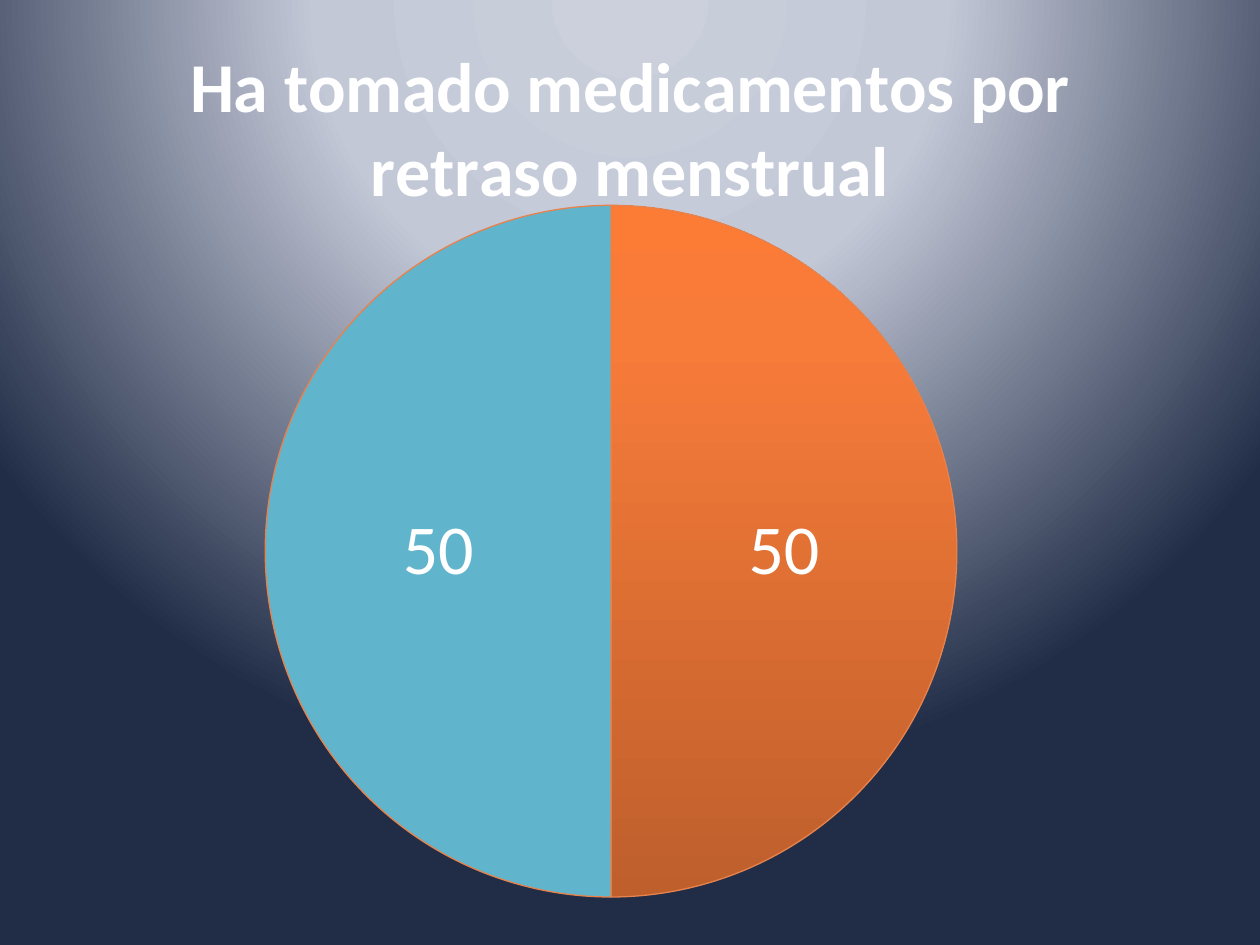
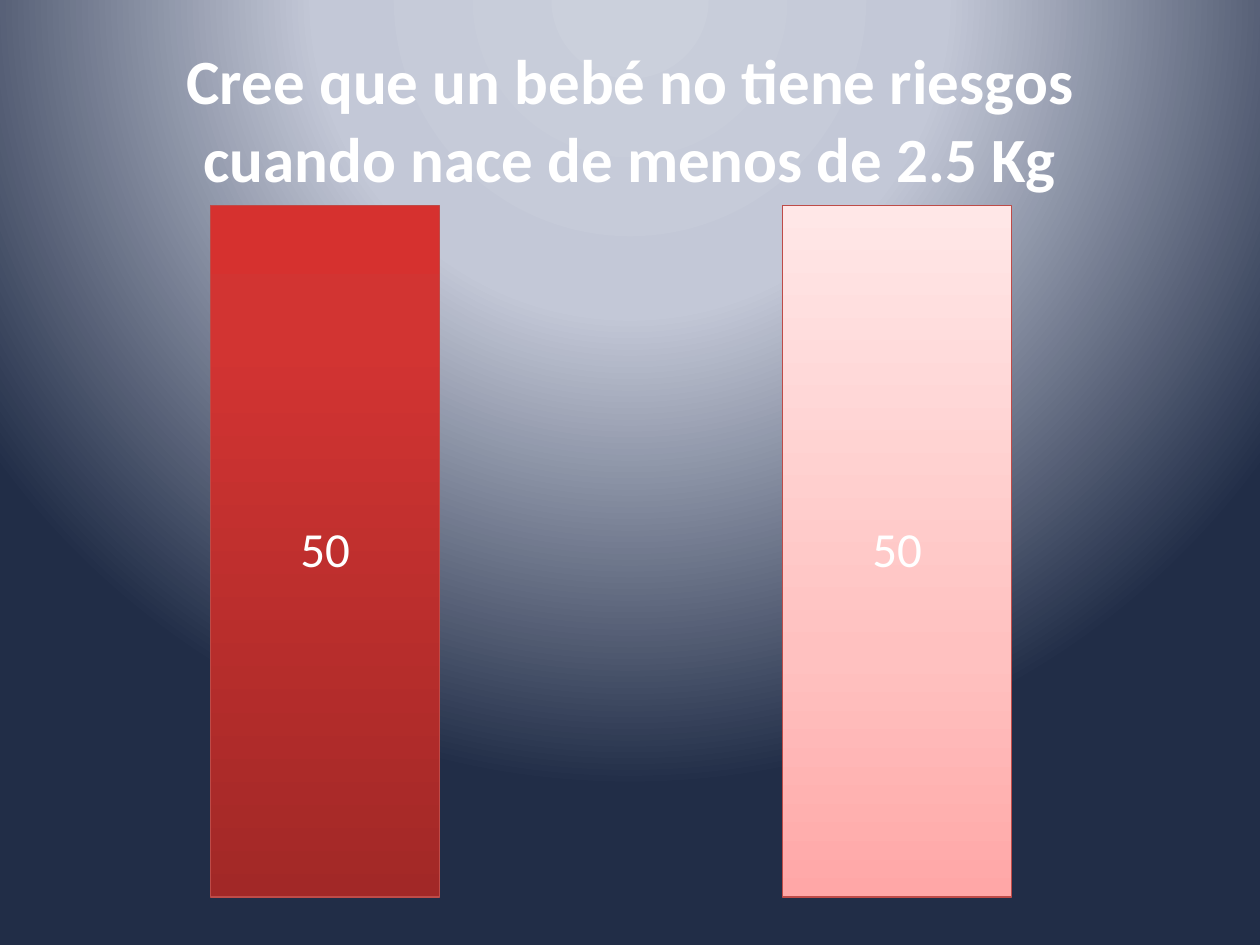
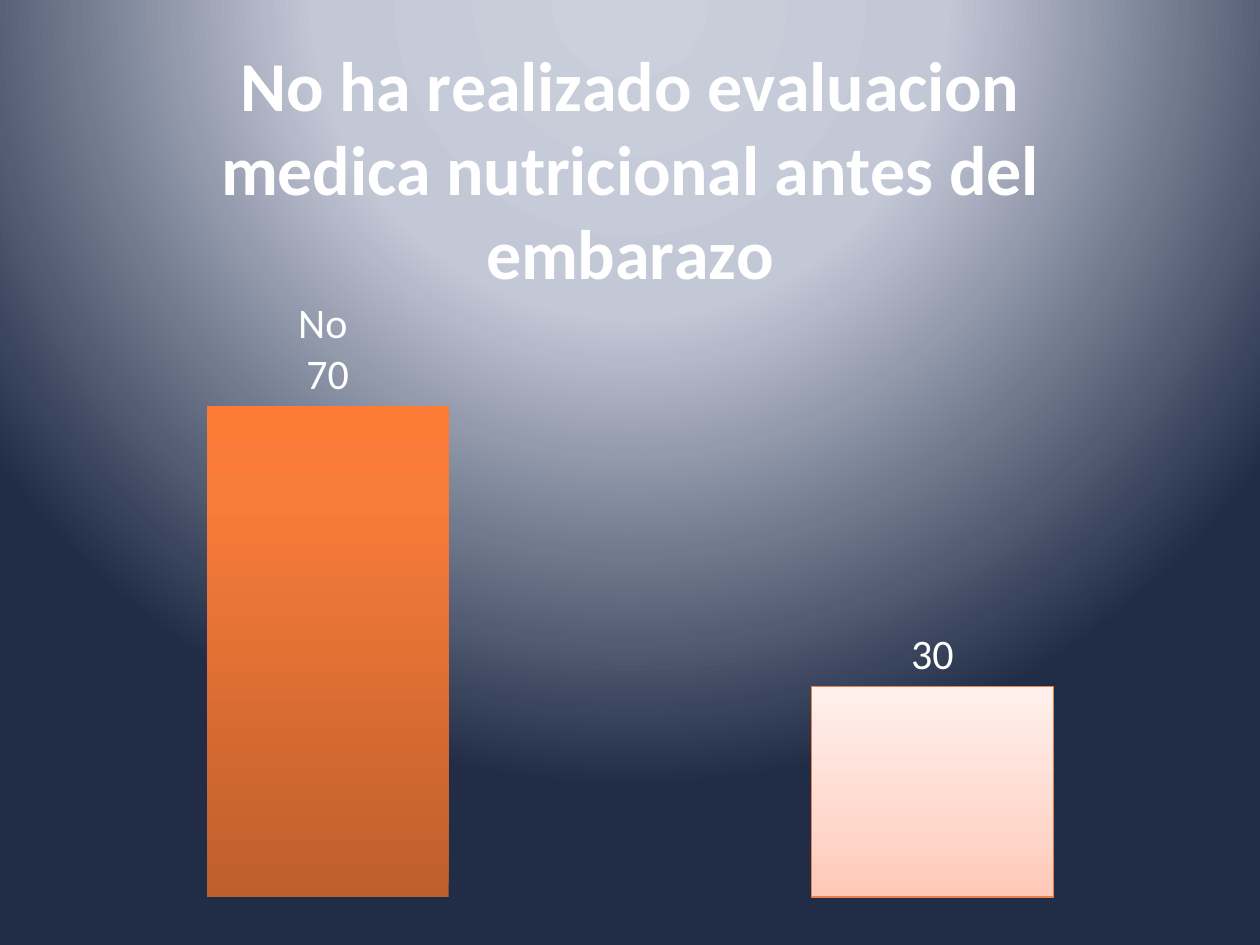
from dataclasses import dataclass

from lxml import etree
from pptx import Presentation
from pptx.chart.data import CategoryChartData
from pptx.dml.color import RGBColor
from pptx.enum.chart import XL_CHART_TYPE, XL_LABEL_POSITION
from pptx.oxml.ns import qn
from pptx.util import Inches, Pt

PIE = XL_CHART_TYPE.PIE
STACKED = XL_CHART_TYPE.COLUMN_STACKED_100
CLUSTERED = XL_CHART_TYPE.COLUMN_CLUSTERED
CENTER = XL_LABEL_POSITION.CENTER
OUTSIDE_END = XL_LABEL_POSITION.OUTSIDE_END


@dataclass(frozen=True)
class Theme:
    font: str = "Calibri"
    text: str = "FFFFFF"
    aqua: str = "60B5CC"
    gold: str = "F0AD00"
    orange_line: str = "E7824C"
    red_line: str = "BE4B48"
    backdrop: tuple = ((0, "CBD0DC"), (40, "C3C8D7"), (100, "212D47"))
    orange: tuple = ((0, "BE5F2C"), (80, "F77B39"), (100, "FC7B35"))
    peach: tuple = ((0, "FFC8B7"), (35, "FFD8CC"), (100, "FFF0EC"))
    red: tuple = ((0, "A22827"), (80, "D23432"), (100, "D6312F"))
    pink: tuple = ((0, "FFA7A7"), (35, "FFC1C0"), (100, "FFE7E7"))
    base_size: int = 10
    title_size: int = 40
    long_title_size: int = 36
    pie_label_size: int = 40
    stacked_label_size: int = 28
    column_label_size: int = 24


THEME = Theme()


@dataclass(frozen=True)
class Box:
    left: float
    top: float
    width: float
    height: float


FULL_PAGE = Box(0, 0, 10, 7.5)
COLUMN_BOX = Box(0, 0, 10, 7.27)
WIDE_PLOT = Box(0.31, 1.63, 9.08, 5.49)
LOW_PLOT = Box(0.2, 2.67, 9.6, 4.45)


def add_child(parent, tag, **attributes):
    return etree.SubElement(parent, qn(tag), attributes)


def paint_gradient(fill, root, stops):
    fill.gradient()
    gradient = list(root.iter(qn("a:gradFill")))[-1]
    gradient.clear()
    gradient.set("rotWithShape", "1")
    stop_list = add_child(gradient, "a:gsLst")
    for position, color in stops:
        stop = add_child(stop_list, "a:gs", pos=str(position * 1000))
        add_child(stop, "a:srgbClr", val=color)
    return gradient


def add_page(deck):
    page = deck.slides.add_slide(deck.slide_layouts[6])
    gradient = paint_gradient(page.background.fill, page.element, THEME.backdrop)
    circle = add_child(gradient, "a:path", path="circle")
    add_child(circle, "a:fillToRect", l="50000", t="-80000", r="50000", b="180000")
    return page


def style_font(font, size, bold=False):
    font.name = THEME.font
    font.size = Pt(size)
    font.bold = bold
    font.color.rgb = RGBColor.from_string(THEME.text)


def place_plot(chart, box, plot_box):
    plot_area = chart.element.find(".//" + qn("c:plotArea"))
    for layout in plot_area.findall(qn("c:layout")):
        plot_area.remove(layout)
    layout = etree.Element(qn("c:layout"))
    plot_area.insert(0, layout)
    manual = add_child(layout, "c:manualLayout")
    settings = {
        "layoutTarget": "inner",
        "xMode": "edge",
        "yMode": "edge",
        "x": plot_box.left / box.width,
        "y": plot_box.top / box.height,
        "w": plot_box.width / box.width,
        "h": plot_box.height / box.height,
    }
    for name, value in settings.items():
        add_child(manual, "c:" + name, val=str(value))


def paint_point(chart, point, paint, line_color):
    if isinstance(paint, str):
        point.format.fill.solid()
        point.format.fill.fore_color.rgb = RGBColor.from_string(paint)
    else:
        gradient = paint_gradient(point.format.fill, chart.element, paint)
        add_child(gradient, "a:lin", ang="16200000", scaled="0")
    line = point.format.line
    if line_color:
        line.color.rgb = RGBColor.from_string(line_color)
        line.width = Pt(0.75)
    else:
        line.fill.background()


def add_answer_chart(page, box, plot_box, kind, title, title_size, values,
                     paints, line_colors, label_size, label_position):
    data = CategoryChartData()
    data.categories = ["1", "2"]
    data.add_series("Series 1", values)
    chart = page.shapes.add_chart(
        kind, Inches(box.left), Inches(box.top),
        Inches(box.width), Inches(box.height), data).chart
    chart.has_legend = False
    style_font(chart.font, THEME.base_size)

    chart.has_title = True
    title_frame = chart.chart_title.text_frame
    title_frame.text = title
    style_font(title_frame.paragraphs[0].font, title_size, bold=True)

    plot = chart.plots[0]
    plot.vary_by_categories = kind == PIE
    series = plot.series[0]
    labels = series.data_labels
    labels.show_value = True
    labels.position = label_position
    style_font(labels.font, label_size)

    if kind != PIE:
        series.format.fill.solid()
        series.format.fill.fore_color.rgb = RGBColor.from_string(THEME.gold)
    for index, (paint, line_color) in enumerate(zip(paints, line_colors)):
        paint_point(chart, series.points[index], paint, line_color)
    place_plot(chart, box, plot_box)
    return chart


def hide_axes(chart):
    chart.plots[0].gap_width = 150
    chart.value_axis.has_major_gridlines = False
    for axis in (chart.category_axis, chart.value_axis):
        axis.visible = False


def add_medication_page(deck):
    add_answer_chart(
        add_page(deck), FULL_PAGE, WIDE_PLOT, PIE,
        "Ha tomado medicamentos por retraso menstrual", THEME.title_size,
        (50, 50), (THEME.orange, THEME.aqua), (THEME.orange_line,) * 2,
        THEME.pie_label_size, CENTER)


def add_birth_weight_page(deck):
    chart = add_answer_chart(
        add_page(deck), FULL_PAGE, WIDE_PLOT, STACKED,
        "Cree que un bebé no tiene riesgos cuando nace de menos de 2.5 Kg",
        THEME.long_title_size, (50, 50), (THEME.red, THEME.pink),
        (THEME.red_line,) * 2, THEME.stacked_label_size, CENTER)
    hide_axes(chart)
    chart.plots[0].overlap = 100


def add_nutrition_page(deck):
    chart = add_answer_chart(
        add_page(deck), COLUMN_BOX, LOW_PLOT, CLUSTERED,
        "No ha realizado evaluacion medica nutricional antes del embarazo",
        THEME.title_size, (70, 30), (THEME.orange, THEME.peach),
        (None, THEME.orange_line), THEME.column_label_size, OUTSIDE_END)
    hide_axes(chart)
    chart.value_axis.minimum_scale = 0
    chart.value_axis.maximum_scale = 80
    label = chart.plots[0].series[0].points[0].data_label
    label.text_frame.text = "No \n70"
    for para in label.text_frame.paragraphs:
        for span in para.runs:
            style_font(span.font, THEME.column_label_size)
    label.position = OUTSIDE_END


def main():
    deck = Presentation()
    deck.slide_width = Inches(FULL_PAGE.width)
    deck.slide_height = Inches(FULL_PAGE.height)
    add_medication_page(deck)
    add_birth_weight_page(deck)
    add_nutrition_page(deck)
    deck.save("out.pptx")


if __name__ == "__main__":
    main()
